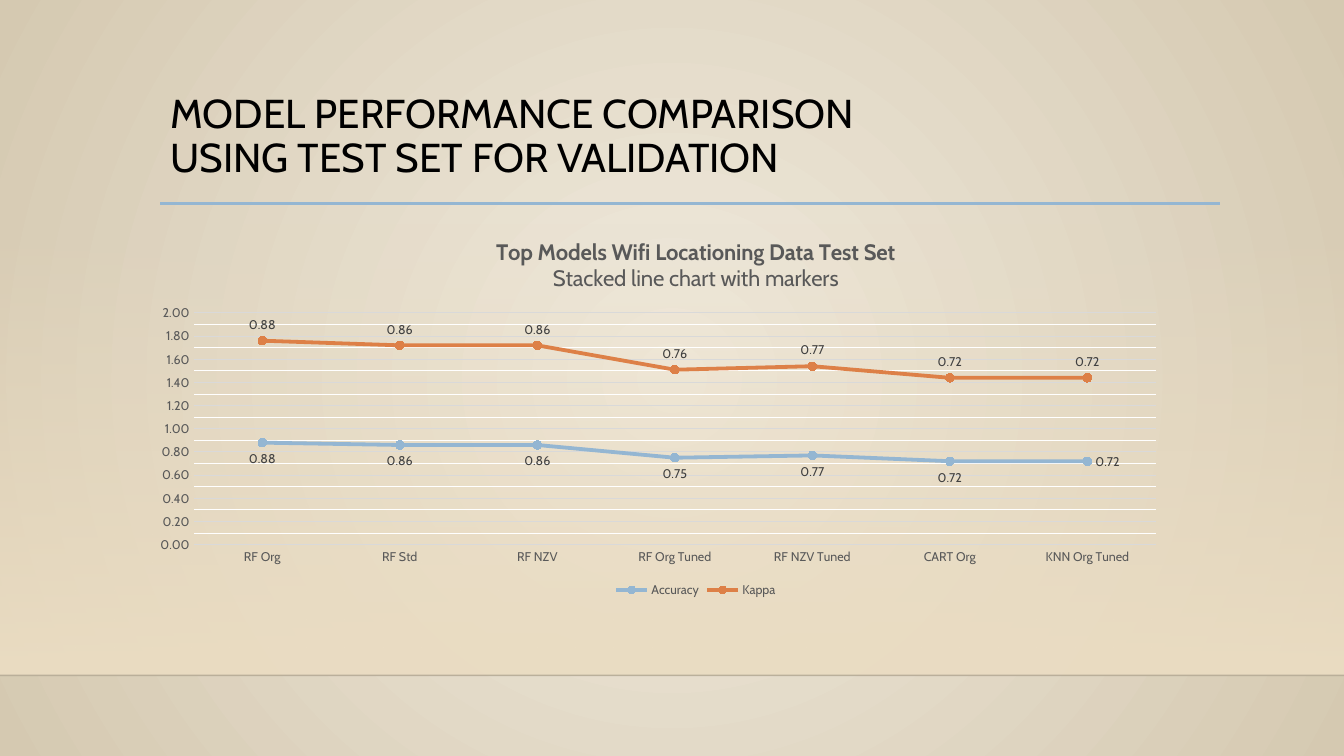
from lxml import etree
from pptx import Presentation
from pptx.chart.data import CategoryChartData
from pptx.dml.color import RGBColor
from pptx.enum.chart import (XL_AXIS_CROSSES, XL_CHART_TYPE, XL_LABEL_POSITION,
                             XL_LEGEND_POSITION, XL_MARKER_STYLE, XL_TICK_MARK)
from pptx.enum.shapes import MSO_CONNECTOR, MSO_SHAPE
from pptx.enum.text import MSO_ANCHOR, PP_ALIGN
from pptx.oxml.ns import qn
from pptx.util import Inches, Pt

STACKED_LINES = XL_CHART_TYPE.LINE_MARKERS_STACKED
ABOVE, BELOW, RIGHT = XL_LABEL_POSITION.ABOVE, XL_LABEL_POSITION.BELOW, XL_LABEL_POSITION.RIGHT
BOTTOM_LEGEND = XL_LEGEND_POSITION.BOTTOM
CIRCLE = XL_MARKER_STYLE.CIRCLE
NO_TICKS = XL_TICK_MARK.NONE
AT_MAXIMUM = XL_AXIS_CROSSES.MAXIMUM
STRAIGHT = MSO_CONNECTOR.STRAIGHT
RECTANGLE = MSO_SHAPE.RECTANGLE
TOP, LEFT = MSO_ANCHOR.TOP, PP_ALIGN.LEFT

BLACK = RGBColor(0, 0, 0)
WHITE = RGBColor(255, 255, 255)
IVORY = RGBColor(0xF0, 0xEA, 0xDD)
TAUPE = RGBColor(0xD5, 0xC9, 0xB1)
SAND = RGBColor(0xEB, 0xDD, 0xC3)
BLUE = RGBColor(0x94, 0xB6, 0xD2)
BLUE_MARKER = RGBColor(0x91, 0xB6, 0xD5)
ORANGE = RGBColor(0xDD, 0x80, 0x47)
ORANGE_MARKER = RGBColor(0xE4, 0x7E, 0x40)
GREY = RGBColor(0x59, 0x59, 0x59)
DARK_GREY = RGBColor(0x40, 0x40, 0x40)
LIGHT_GREY = RGBColor(0xD9, 0xD9, 0xD9)

FONT = "Cabin"
WIDTH, HEIGHT = Inches(13.33), Inches(7.5)
MARGIN, CONTENT_WIDTH = 1.59 / 13.33, 10.5 / 13.33
FLOOR = 6.7 / 7.5

MODELS = ["RF Org", "RF Std", "RF NZV", "RF Org Tuned", "RF NZV Tuned", "CART Org", "KNN Org Tuned"]
SCORES = [
    ("Accuracy", [0.88, 0.86, 0.86, 0.75, 0.77, 0.72, 0.72], BLUE, BLUE_MARKER, BELOW),
    ("Kappa", [0.88, 0.86, 0.86, 0.76, 0.77, 0.72, 0.72], ORANGE, ORANGE_MARKER, ABOVE),
]
CHART_HEADING = [("Top Models Wifi Locationing Data Test Set", True),
                 ("Stacked line chart with markers", False)]
PLOT_AREA = {"x": 0.02, "y": 0.24, "w": 0.92, "h": 0.61}
VALUE_AXIS = {"minimum_scale": 0, "maximum_scale": 2, "major_unit": 0.2, "minor_unit": 0.1,
              "has_major_gridlines": True, "has_minor_gridlines": True}


def apply(target, formats):
    for attribute, value in formats.items():
        setattr(target, attribute, value)


def share(left, top, width, height):
    return [round(part * full) for part, full in
            zip((left, top, width, height), (WIDTH, HEIGHT, WIDTH, HEIGHT))]


def style_font(font, size, color, bold=False):
    apply(font, {"name": FONT, "size": Pt(size), "bold": bold})
    font.color.rgb = color


def style_line(line, color, width):
    line.color.rgb = color
    line.width = Pt(width)


def set_alpha(color_holder, percent):
    color = color_holder.find(".//" + qn("a:srgbClr"))
    etree.SubElement(color, qn("a:alpha"), val=str(percent * 1000))


def set_gradient(fill, first, last):
    fill.gradient()
    for stop, color, position in zip(fill.gradient_stops, (first, last), (0, 1)):
        stop.color.rgb = color
        stop.position = position


def add_backdrop(slide):
    set_gradient(slide.background.fill, IVORY, TAUPE)
    gradient = slide.element.find(".//" + qn("a:gradFill"))
    linear = gradient.find(qn("a:lin"))
    radial = etree.Element(qn("a:path"), {"path": "circle"})
    etree.SubElement(radial, qn("a:fillToRect"), dict.fromkeys("ltrb", "50000"))
    gradient.replace(linear, radial)

    wall = slide.shapes.add_shape(RECTANGLE, *share(0, 2.21 / 7.5, 1, FLOOR - 2.21 / 7.5))
    wall.shadow.inherit = False
    wall.line.fill.background()
    set_gradient(wall.fill, SAND, SAND)
    wall.fill.gradient_angle = 270
    set_alpha(wall.element.find(".//" + qn("a:gs")), 0)


def add_rule(slide, left, right, height, color, width):
    start_x, y, end_x, _ = share(left, height, right, 0)
    rule = slide.shapes.add_connector(STRAIGHT, start_x, y, end_x, y)
    style_line(rule.line, color, width)
    etree.SubElement(rule.element.spPr, qn("a:effectLst"))
    return rule


def place_title(slide, wording):
    title = slide.shapes.title
    left, top, width, height = share(MARGIN, 0.88 / 7.5, CONTENT_WIDTH, 1.15 / 7.5)
    apply(title, {"left": left, "top": top, "width": width, "height": height})
    apply(title.text_frame, {"text": wording, "vertical_anchor": TOP, "word_wrap": True})
    paragraph = title.text_frame.paragraphs[0]
    apply(paragraph, {"alignment": LEFT, "line_spacing": 0.9})
    for run in paragraph.runs:
        style_font(run.font, 28.8, BLACK)


def style_axis(axis):
    apply(axis, {"major_tick_mark": NO_TICKS, "minor_tick_mark": NO_TICKS})
    style_font(axis.tick_labels.font, 9, GREY)


def style_minor_gridlines(chart, color, width):
    gridlines = chart.element.find(".//" + qn("c:minorGridlines"))
    properties = etree.SubElement(gridlines, qn("c:spPr"))
    line = etree.SubElement(properties, qn("a:ln"), w=str(Pt(width)))
    fill = etree.SubElement(line, qn("a:solidFill"))
    etree.SubElement(fill, qn("a:srgbClr"), val=str(color))


def style_axes(chart):
    models, scores = chart.category_axis, chart.value_axis
    style_axis(models)
    style_axis(scores)
    models.crosses = AT_MAXIMUM
    style_line(models.format.line, LIGHT_GREY, 1)
    apply(scores, VALUE_AXIS)
    apply(scores.tick_labels, {"number_format": "0.00", "number_format_is_linked": False})
    scores.format.line.fill.background()
    style_line(scores.major_gridlines.format.line, LIGHT_GREY, 0.75)
    style_minor_gridlines(chart, WHITE, 0.75)


def style_series(series, color, marker_color, label_position):
    series.smooth = False
    style_line(series.format.line, color, 2.75)
    apply(series.marker, {"style": CIRCLE, "size": 6})
    series.marker.format.fill.solid()
    series.marker.format.fill.fore_color.rgb = marker_color
    style_line(series.marker.format.line, marker_color, 0.75)
    labels = series.data_labels
    apply(labels, {"show_value": True, "position": label_position,
                   "number_format": "0.00", "number_format_is_linked": False})
    style_font(labels.font, 9, DARK_GREY)


def write_heading(chart):
    frame = chart.chart_title.text_frame
    for index, (wording, bold) in enumerate(CHART_HEADING):
        paragraph = frame.add_paragraph() if index else frame.paragraphs[0]
        run = paragraph.add_run()
        run.text = wording
        style_font(run.font, 16, GREY, bold)
    chart.chart_title.include_in_layout = False


def fix_plot_area(chart):
    plot_area = chart.element.find(".//" + qn("c:plotArea"))
    for automatic in plot_area.findall(qn("c:layout")):
        plot_area.remove(automatic)
    layout = etree.Element(qn("c:layout"))
    manual = etree.SubElement(layout, qn("c:manualLayout"))
    settings = {"layoutTarget": "inner", "xMode": "edge", "yMode": "edge", **PLOT_AREA}
    for tag, value in settings.items():
        etree.SubElement(manual, qn("c:" + tag), val=str(value))
    plot_area.insert(0, layout)


def add_score_chart(slide):
    data = CategoryChartData(number_format="0.00")
    data.categories = MODELS
    for name, values, *_ in SCORES:
        data.add_series(name, values)
    area = share(MARGIN, 2.2 / 7.5, CONTENT_WIDTH, 3.77 / 7.5)
    chart = slide.shapes.add_chart(STACKED_LINES, *area, data).chart
    style_font(chart.font, 10, BLACK)
    write_heading(chart)
    style_axes(chart)
    chart.plots[0].vary_by_categories = False
    for series, (_, _, *look) in zip(chart.plots[0].series, SCORES):
        style_series(series, *look)
    last_accuracy = chart.plots[0].series[0].points[len(MODELS) - 1].data_label
    style_font(last_accuracy.font, 9, DARK_GREY)
    last_accuracy.position = RIGHT
    chart.has_legend = True
    apply(chart.legend, {"position": BOTTOM_LEGEND, "include_in_layout": False})
    style_font(chart.legend.font, 9, GREY)
    fix_plot_area(chart)


def main():
    deck = Presentation()
    apply(deck, {"slide_width": WIDTH, "slide_height": HEIGHT})
    slide = deck.slides.add_slide(deck.slide_layouts[5])
    add_backdrop(slide)
    floor_edge = add_rule(slide, 0, 1, FLOOR, BLACK, 1)
    set_alpha(floor_edge.element.spPr, 20)
    add_rule(slide, MARGIN, 12.1 / 13.33, 2.02 / 7.5, BLUE, 2.5)
    place_title(slide, "MODEL PERFORMANCE COMPARISON\vUSING TEST SET FOR VALIDATION")
    add_score_chart(slide)
    deck.save("out.pptx")


main()
